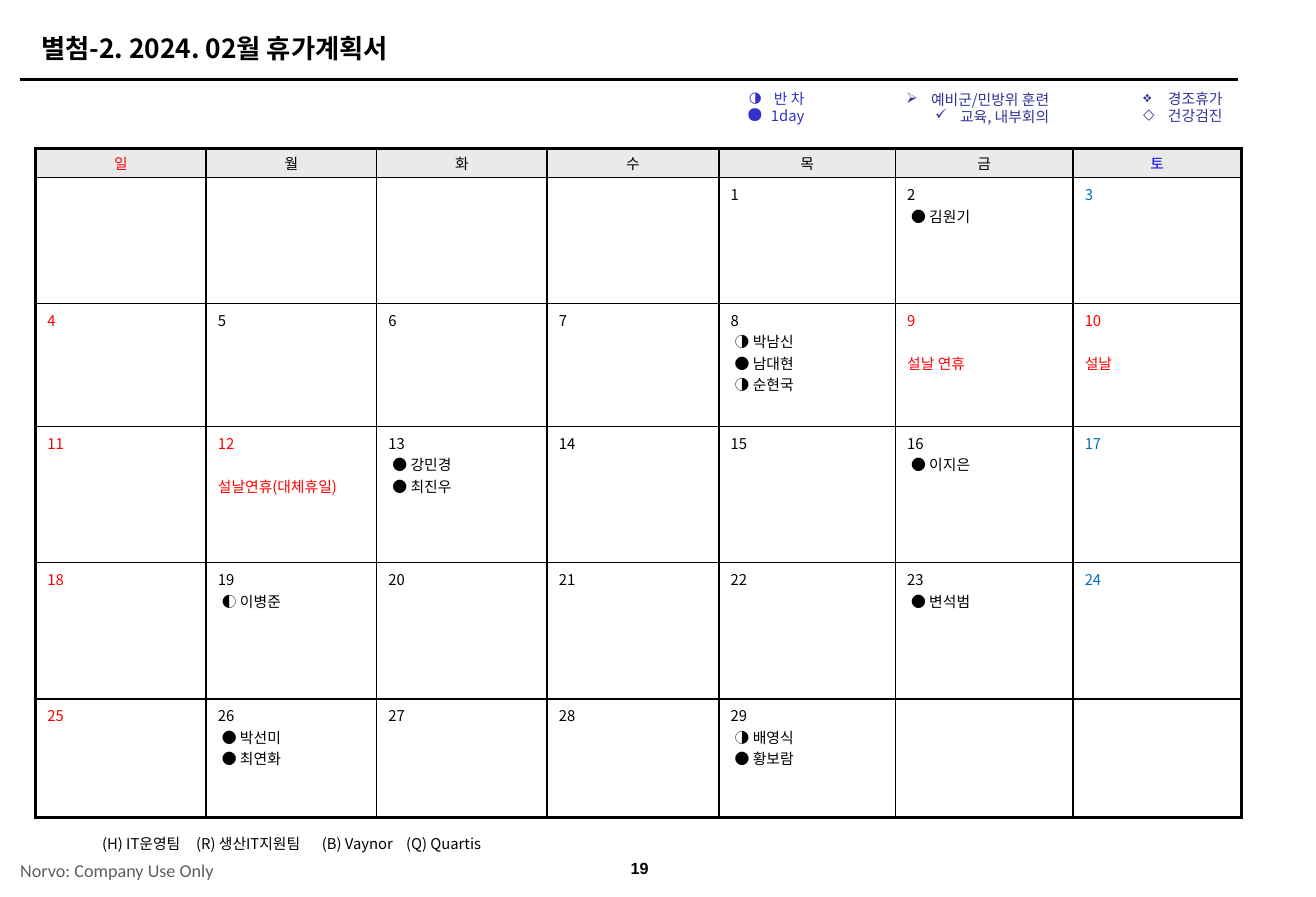
"""Builds the monthly leave calendar slide."""
from dataclasses import dataclass

from lxml.etree import SubElement
from pptx import Presentation
from pptx.dml.color import RGBColor
from pptx.enum.shapes import MSO_CONNECTOR as Connector
from pptx.enum.text import MSO_ANCHOR as Anchor, PP_ALIGN as Align
from pptx.oxml.ns import qn
from pptx.slide import Slide
from pptx.table import _Cell as Cell
from pptx.text.text import TextFrame, _Paragraph as Paragraph
from pptx.util import Emu, Inches, Pt


@dataclass(frozen=True)
class Theme:
    ink: str = "000000"
    holiday: str = "FF0000"
    saturday: str = "0070C0"
    saturday_head: str = "0000FF"
    head_fill: str = "EAEAEA"
    paper: str = "FFFFFF"
    leave_key: str = "3333CC"
    event_key: str = "333399"
    muted: str = "5F5F5F"
    hangul: str = "Noto Sans CJK KR"
    title: float = 16
    body: float = 9
    page: float = 9.8
    notice: float = 11
    line_gap: float = 13
    thin: float = 1
    thick: float = 2
    rule: float = 1.5


@dataclass(frozen=True)
class Area:
    """Percent shares of the slide's width and height."""
    left: float
    top: float
    width: float
    height: float


@dataclass(frozen=True)
class Style:
    size: float
    color: str
    font: str
    bold: bool = False


@dataclass(frozen=True)
class Caption:
    area: Area
    text: str
    style: Style
    align: Align = Align.LEFT
    left_inset: float = 0.9
    tabs: tuple[float, ...] = ()


@dataclass(frozen=True)
class Legend:
    area: Area
    color: str
    entries: tuple[tuple[str, str, int], ...]
    right_inset: float = 0.9
    wrap: bool = True


THEME = Theme()
SLIDE_WIDTH, SLIDE_HEIGHT = Inches(11.11), Inches(7.57)
RULE = Area(1.53, 8.85, 92.53, 0)
CALENDAR = Area(2.7, 16.51, 91.62, 74.64)
DAY_COLUMNS = (12.96, 12.96, 12.96, 13.05, 13.41, 13.5, 12.78)
WEEK_ROWS = (3.3, 14, 13.74, 15.19, 15.19, 13.21)
SIDE_INSET, TOP_INSET, HEAD_INSET = 0.9, 0.66, 0.3
BULLET_INDENT, LEAVE_INDENT = 1.89, 0.3

WEEKDAYS = "일월화수목금토"
SUNDAY, SATURDAY = 0, 6
FIRST_WEEKDAY, MONTH_DAYS = 4, 29
HOLIDAYS = {9: "설날 연휴", 10: "설날", 12: "설날연휴(대체휴일)"}
LEAVES = {
    2: ("● 김원기",),
    8: ("◑ 박남신", "● 남대현", "◑ 순현국"),
    13: ("● 강민경", "● 최진우"),
    16: ("● 이지은",),
    19: ("◐ 이병준",),
    23: ("● 변석범",),
    26: ("● 박선미", "● 최연화"),
    29: ("◑ 배영식", "● 황보람"),
}

CAPTIONS = (
    Caption(Area(2.25, 2.91, 89.11, 4.89), "별첨-2. 2024. 02월 휴가계획서",
            Style(THEME.title, THEME.ink, THEME.hangul, True)),
    Caption(Area(7.11, 92.47, 30.33, 3.17),
            "(H) IT운영팀\t(R) 생산IT지원팀\t(B) Vaynor\t(Q) Quartis",
            Style(THEME.body, THEME.ink, THEME.hangul),
            left_inset=0.65, tabs=(7.15, 16.7, 23.1)),
    Caption(Area(46.17, 94.72, 4.86, 4.1), "19",
            Style(THEME.page, THEME.ink, "Arial", True), Align.CENTER),
    Caption(Area(0, 94.98, 17.28, 4.1), "Norvo: Company Use Only",
            Style(THEME.notice, THEME.muted, "Calibri"), left_inset=1.53),
)
LEGENDS = (
    Legend(Area(55.54, 9.51, 6.48, 5.28), THEME.leave_key,
           (("◑", "반 차", 100), ("●", "1day", 150)), wrap=False),
    Legend(Area(66.7, 9.64, 14.22, 5.15), THEME.event_key,
           (("➢", "예비군/민방위 훈련", 100), ("✓", "교육, 내부회의", 100)),
           right_inset=1.2),
    Legend(Area(77.32, 9.51, 16.47, 5.15), THEME.event_key,
           (("❖", "경조휴가", 100), ("◇", "건강검진", 100))),
)


def across(share: float) -> Emu:
    """Turn a percent of the slide's width into a length."""
    return Emu(round(SLIDE_WIDTH * share / 100))


def down(share: float) -> Emu:
    """Turn a percent of the slide's height into a length."""
    return Emu(round(SLIDE_HEIGHT * share / 100))


def add_run(paragraph: Paragraph, text: str, style: Style) -> None:
    """Append one styled run."""
    run = paragraph.add_run()
    run.text = text
    run.font.size, run.font.bold, run.font.name = Pt(style.size), style.bold, style.font
    run.font.color.rgb = RGBColor.from_string(style.color)
    SubElement(run.font._element, qn("a:ea"), typeface=style.font)


def next_paragraph(frame: TextFrame, index: int) -> Paragraph:
    """Return the first paragraph or append a further one."""
    return frame.add_paragraph() if index else frame.paragraphs[0]


def add_frame(slide: Slide, area: Area, left: float, right: float) -> TextFrame:
    """Add a wrapping text box with the given side insets."""
    frame = slide.shapes.add_textbox(across(area.left), down(area.top),
                                     across(area.width), down(area.height)).text_frame
    frame.word_wrap = True
    frame.margin_left, frame.margin_right = across(left), across(right)
    frame.margin_top = frame.margin_bottom = down(TOP_INSET)
    return frame


def draw_caption(slide: Slide, caption: Caption) -> None:
    """Draw a single line of text."""
    frame = add_frame(slide, caption.area, caption.left_inset, 0 if caption.tabs else SIDE_INSET)
    frame.vertical_anchor = Anchor.MIDDLE
    paragraph = frame.paragraphs[0]
    paragraph.alignment = caption.align
    if caption.tabs:
        stops = SubElement(paragraph._p.get_or_add_pPr(), qn("a:tabLst"))
        for stop in caption.tabs:
            SubElement(stops, qn("a:tab"), pos=str(across(stop)), algn="l")
    add_run(paragraph, caption.text, caption.style)


def draw_legend(slide: Slide, legend: Legend) -> None:
    """Draw a bulleted key of leave marks."""
    frame = add_frame(slide, legend.area, SIDE_INSET, legend.right_inset)
    frame.word_wrap = legend.wrap
    for index, (mark, meaning, percent) in enumerate(legend.entries):
        paragraph = next_paragraph(frame, index)
        properties = paragraph._p.get_or_add_pPr()
        properties.set("marL", str(across(BULLET_INDENT)))
        properties.set("indent", str(-across(BULLET_INDENT)))
        tint = SubElement(properties, qn("a:buClr"))
        SubElement(tint, qn("a:srgbClr"), val=legend.color)
        SubElement(properties, qn("a:buSzPct"), val=str(percent * 1000))
        SubElement(properties, qn("a:buChar"), char=mark)
        paragraph.alignment, paragraph.line_spacing = Align.RIGHT, 0.95
        add_run(paragraph, meaning, Style(THEME.body, legend.color, THEME.hangul))


def format_cell(cell: Cell, row: int, column: int) -> None:
    """Set a cell's borders, fill and insets."""
    outer = {"L": column == 0, "R": column == len(DAY_COLUMNS) - 1,
             "T": row == 0, "B": row == len(WEEK_ROWS) - 1}
    for side, is_outer in outer.items():
        width = Pt(THEME.thick if is_outer else THEME.thin)
        border = SubElement(cell._tc.get_or_add_tcPr(), qn(f"a:ln{side}"), w=str(width))
        SubElement(SubElement(border, qn("a:solidFill")), qn("a:srgbClr"), val=THEME.ink)
    cell.fill.solid()
    cell.fill.fore_color.rgb = RGBColor.from_string(THEME.paper if row else THEME.head_fill)
    cell.margin_left = cell.margin_right = across(SIDE_INSET)
    cell.margin_top = cell.margin_bottom = down(TOP_INSET if row else HEAD_INSET)
    cell.vertical_anchor = Anchor.TOP if row else Anchor.MIDDLE


def fill_day(cell: Cell, day: int, weekday: int) -> None:
    """Write the date, its holiday and the people on leave."""
    weekend = {SUNDAY: THEME.holiday, SATURDAY: THEME.saturday}
    color = THEME.holiday if day in HOLIDAYS else weekend.get(weekday, THEME.ink)
    style = Style(THEME.body, color, THEME.hangul)
    add_run(cell.text_frame.paragraphs[0], str(day), style)
    if day in HOLIDAYS:
        paragraph = cell.text_frame.add_paragraph()
        paragraph.space_before = Pt(THEME.line_gap)
        add_run(paragraph, HOLIDAYS[day], style)
    for leave in LEAVES.get(day, ()):
        paragraph = cell.text_frame.add_paragraph()
        paragraph._p.get_or_add_pPr().set("marL", str(across(LEAVE_INDENT)))
        add_run(paragraph, leave, style)


def draw_calendar(slide: Slide) -> None:
    """Draw the month as a table of weeks."""
    calendar = slide.shapes.add_table(
        len(WEEK_ROWS), len(DAY_COLUMNS), across(CALENDAR.left), down(CALENDAR.top),
        across(CALENDAR.width), down(CALENDAR.height)).table
    calendar.first_row = calendar.horz_banding = False
    for column, share in enumerate(DAY_COLUMNS):
        calendar.columns[column].width = across(share)
    for row, share in enumerate(WEEK_ROWS):
        calendar.rows[row].height = down(share)
        for column in range(len(DAY_COLUMNS)):
            format_cell(calendar.cell(row, column), row, column)
    head_colors = {SUNDAY: THEME.holiday, SATURDAY: THEME.saturday_head}
    for column, weekday in enumerate(WEEKDAYS):
        heading = calendar.cell(0, column).text_frame.paragraphs[0]
        heading.alignment = Align.CENTER
        add_run(heading, weekday,
                Style(THEME.body, head_colors.get(column, THEME.ink), THEME.hangul))
    for day in range(1, MONTH_DAYS + 1):
        week, weekday = divmod(FIRST_WEEKDAY + day - 1, len(WEEKDAYS))
        fill_day(calendar.cell(week + 1, weekday), day, weekday)


def draw_rule(slide: Slide) -> None:
    """Draw the line under the title."""
    rule = slide.shapes.add_connector(
        Connector.STRAIGHT, across(RULE.left), down(RULE.top),
        across(RULE.left + RULE.width), down(RULE.top))
    rule.line.color.rgb = RGBColor.from_string(THEME.ink)
    rule.line.width = Pt(THEME.rule)
    SubElement(rule._element.spPr, qn("a:effectLst"))


def main() -> None:
    """Build and save the slide."""
    deck = Presentation()
    deck.slide_width, deck.slide_height = SLIDE_WIDTH, SLIDE_HEIGHT
    slide = deck.slides.add_slide(deck.slide_layouts[6])
    draw_rule(slide)
    draw_calendar(slide)
    for legend in LEGENDS:
        draw_legend(slide, legend)
    for caption in CAPTIONS:
        draw_caption(slide, caption)
    deck.save("out.pptx")


if __name__ == "__main__":
    main()
